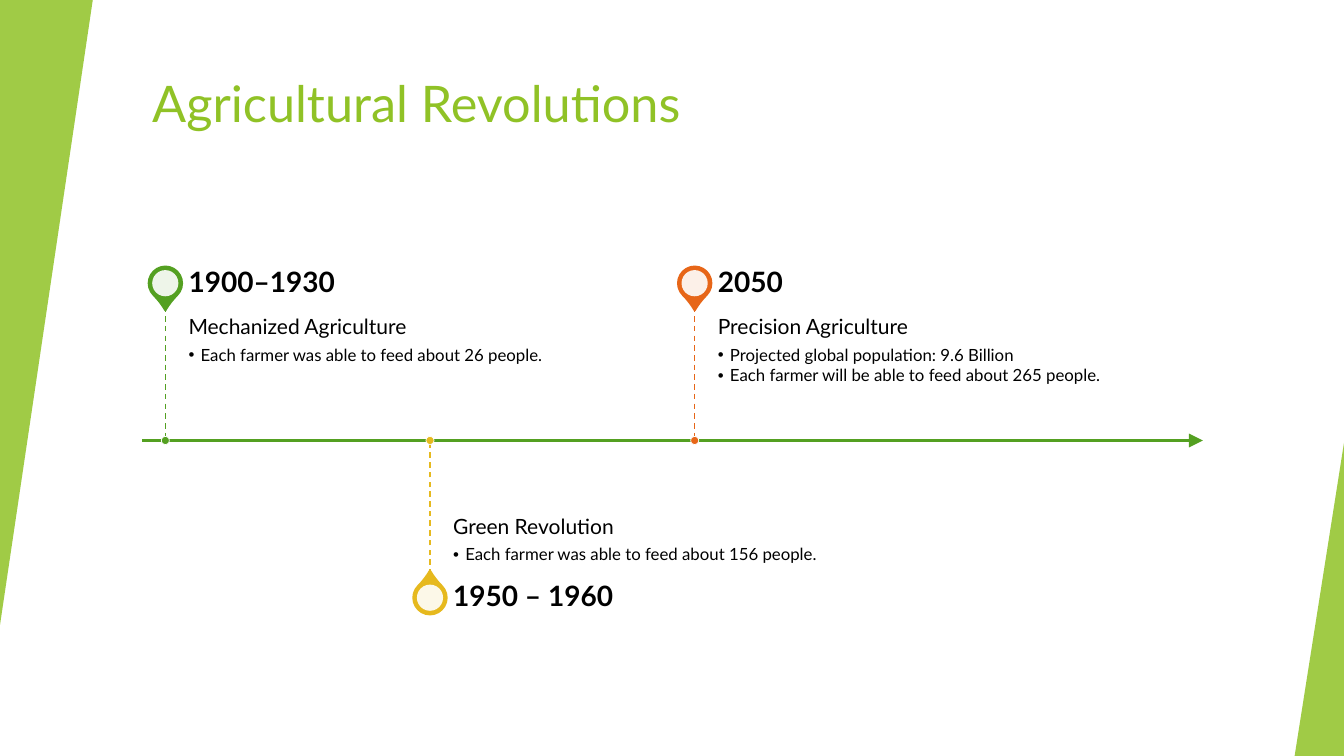
from lxml.etree import SubElement
from pptx import Presentation
from pptx.dml.color import RGBColor
from pptx.enum.dml import MSO_LINE
from pptx.enum.shapes import MSO_CONNECTOR, MSO_SHAPE
from pptx.enum.text import MSO_ANCHOR, PP_ALIGN
from pptx.oxml.ns import qn
from pptx.util import Inches, Pt

TITLE = "Agricultural Revolutions"
ERAS = [
    ("1900–1930", "Mechanized Agriculture",
     ["Each farmer was able to feed about 26 people."], "green", -1),
    ("1950 – 1960", "Green Revolution",
     ["Each farmer was able to feed about 156 people."], "gold", 1),
    ("2050", "Precision Agriculture",
     ["Projected global population: 9.6 Billion",
      "Each farmer will be able to feed about 265 people."], "orange", -1),
]
THEME = {
    "font": "Lato",
    "color": {"lime": "90C226", "green": "54A021", "gold": "E6B91E",
              "orange": "E76618", "white": "FFFFFF", "black": "000000"},
    "size": {"title": 36, "date": 20, "head": 15, "item": 12},
}
SIDES = [(0, 0, 0.92, 6.2, 180), (12.84, 4.39, 0.49, 3.11, 0)]
LEFT, RIGHT, AXIS = 1.41, 11.93, 4.37
FIRST, STEP = 1.64, 2.625
STEM, PIN, HOLE, DOT = 1.33, 0.33, 0.26, 0.08
WIDE, TALL, GAP = 4.37, 0.47, 0.23

deck = Presentation()
deck.slide_width, deck.slide_height = Inches(13.33), Inches(7.5)
slide = deck.slides.add_slide(deck.slide_layouts[5])
shapes = slide.shapes


def color(name):
    return RGBColor.from_string(THEME["color"][name])


def style(para, role, hue="black", bold=False):
    for run in para.runs:
        run.font.name = THEME["font"]
        run.font.size = Pt(THEME["size"][role])
        run.font.color.rgb = color(hue)
        run.font.bold = bold


def draw(kind, x, y, w, h, fill, alpha=100, line=None, width=0):
    item = shapes.add_shape(kind, Inches(x), Inches(y), Inches(w), Inches(h))
    item.shadow.inherit = False
    item.fill.solid()
    item.fill.fore_color.rgb = color(fill)
    if alpha < 100:
        tint = item.fill._xPr.find(qn("a:solidFill"))[0]
        SubElement(tint, qn("a:alpha"), val=str(alpha * 1000))
    if line:
        item.line.color.rgb = color(line)
        item.line.width = Pt(width)
    else:
        item.line.fill.background()
    return item


def disc(x, y, size, *look):
    return draw(MSO_SHAPE.OVAL, x - size / 2, y - size / 2, size, size, *look)


def rule(x1, y1, x2, y2, hue, width):
    line = shapes.add_connector(MSO_CONNECTOR.STRAIGHT, Inches(x1), Inches(y1),
                                Inches(x2), Inches(y2))
    line.line.color.rgb = color(hue)
    line.line.width = Pt(width)
    SubElement(line._element.spPr, qn("a:effectLst"))
    return line


def label(x, y, h, anchor, pads):
    frame = shapes.add_textbox(Inches(x), Inches(y), Inches(WIDE), Inches(h)).text_frame
    frame.word_wrap = True
    frame.vertical_anchor = anchor
    (frame.margin_left, frame.margin_top,
     frame.margin_right, frame.margin_bottom) = map(Inches, pads)
    return frame


def write(para, text, role, after, bold=False):
    para.text = text
    para.line_spacing = 0.9
    para.space_after = Pt(after * THEME["size"][role])
    style(para, role, bold=bold)


def bullet(para):
    para.level = 1
    props = para._p.get_or_add_pPr()
    props.set("marL", str(Inches(0.12)))
    props.set("indent", str(-Inches(0.12)))
    SubElement(props, qn("a:buFont"), typeface="Arial")
    SubElement(props, qn("a:buChar"), char="•")


def era(x, date, head, items, hue, side):
    up = side < 0
    end = AXIS + side * STEM
    mid = end + side * GAP
    pin = draw(MSO_SHAPE.TEAR, x - PIN / 2, mid - PIN / 2, PIN, PIN, hue, 100, hue, 1.5)
    pin.adjustments[0] = 1.15
    pin.rotation = 135 if up else 315
    disc(x, mid, HOLE, "white", 90)

    pads = (0, 0.1, 0.1, 0.16) if up else (0, 0.16, 0, 0.1)
    body = label(x + GAP, min(AXIS, end), STEM,
                 MSO_ANCHOR.TOP if up else MSO_ANCHOR.BOTTOM, pads)
    write(body.paragraphs[0], head, "head", 0.35)
    for item in items:
        para = body.add_paragraph()
        bullet(para)
        write(para, item, "item", 0.15)

    frame = label(x + GAP, mid - TALL / 2, TALL, MSO_ANCHOR.MIDDLE, (0, 0, 0.14, 0))
    write(frame.paragraphs[0], date, "date", 0.35, True)
    rule(x, end, x, AXIS, hue, 1).line.dash_style = MSO_LINE.DASH
    disc(x, AXIS, DOT, hue, 100, "white", 0.5)


title = shapes.title
title.left, title.top = Inches(LEFT), Inches(0.67)
title.width, title.height = Inches(11.15), Inches(1.2)
title.text_frame.text = TITLE
title.text_frame.vertical_anchor = MSO_ANCHOR.TOP
title.text_frame.paragraphs[0].alignment = PP_ALIGN.LEFT
style(title.text_frame.paragraphs[0], "title", "lime")

for *box, turn in SIDES:
    wedge = draw(MSO_SHAPE.ISOSCELES_TRIANGLE, *box, "lime", 85)
    wedge.adjustments[0] = 1
    wedge.rotation = turn

axis = rule(LEFT, AXIS, RIGHT, AXIS, "green", 1.5)
SubElement(axis.line._get_or_add_ln(), qn("a:tailEnd"), type="triangle", w="lg", len="lg")
for i, entry in enumerate(ERAS):
    era(FIRST + i * STEP, *entry)

deck.save("out.pptx")
